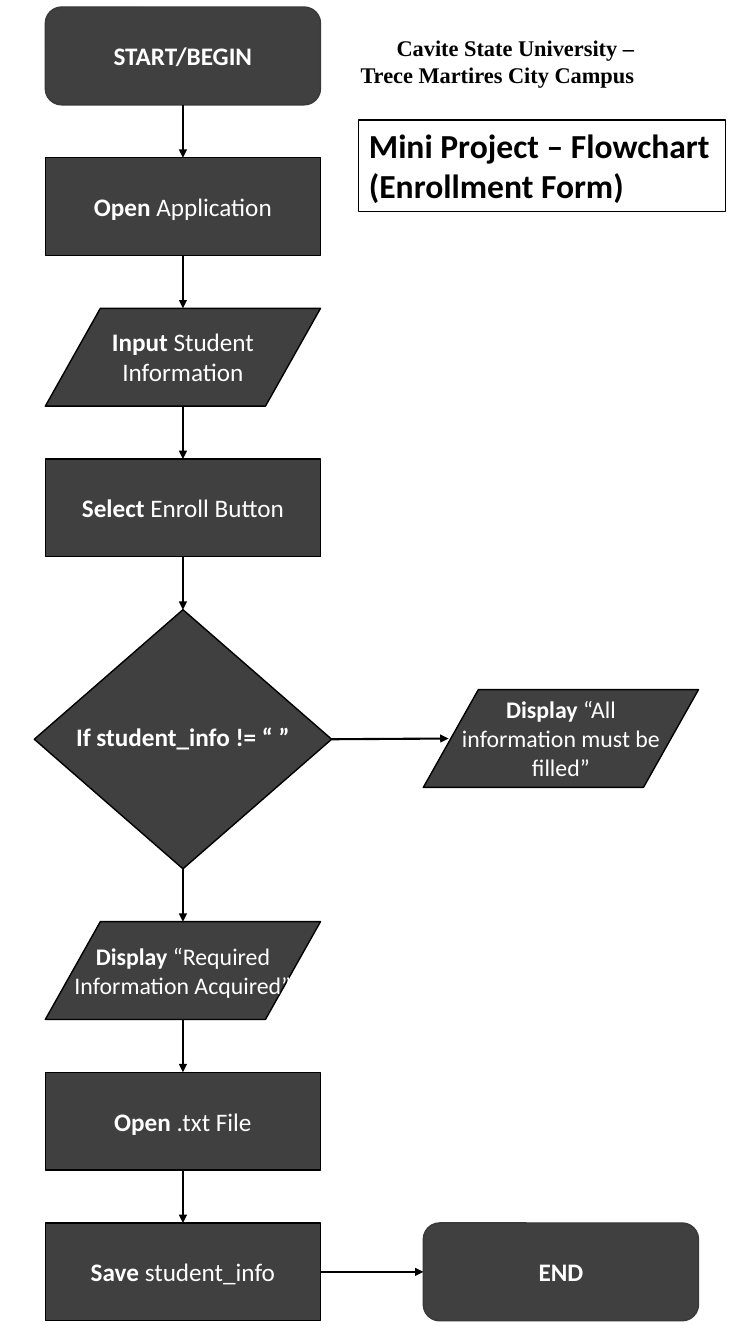
import pptx
import pptx.util
import pptx.dml.color
import pptx.enum.shapes
import pptx.enum.text
import pptx.oxml.ns
from dataclasses import dataclass
from lxml import etree

Inches, Pt = pptx.util.Inches, pptx.util.Pt
SHAPE = pptx.enum.shapes.MSO_SHAPE
ALIGN = pptx.enum.text.PP_ALIGN
ANCHOR = pptx.enum.text.MSO_ANCHOR
qn = pptx.oxml.ns.qn


@dataclass(frozen=True)
class Theme:
    node: str = "404040"
    terminal_line: str = "3B3838"
    light: str = "FFFFFF"
    dark: str = "000000"
    body: str = "Calibri"
    serif: str = "Times New Roman"
    title_size: float = 24
    school_size: float = 16
    label_size: float = 18
    small_size: float = 17
    thin: float = 0.75
    outline: float = 1
    arrow: float = 1.5


def rgb(value):
    return pptx.dml.color.RGBColor.from_string(value)


def apply(target, values):
    for name, value in values.items():
        setattr(target, name, value)


class Flowchart:
    def __init__(self, slide, theme):
        self.s, self.theme = slide, theme

    def line(self, line, color, width):
        line.color.rgb = rgb(color)
        line.width = Pt(width)

    def set_runs(self, sp, runs, size, color, font, align):
        """Fill a text frame with (text, bold) runs."""
        tf = sp.text_frame
        apply(tf, {"word_wrap": True, "vertical_anchor": ANCHOR.TOP,
                   "auto_size": pptx.enum.text.MSO_AUTO_SIZE.NONE,
                   "margin_left": Inches(0.1), "margin_right": Inches(0.1),
                   "margin_top": Inches(0.05), "margin_bottom": Inches(0.05)})
        p = tf.paragraphs[0]
        apply(p, {"alignment": align, "line_spacing": 1.0})
        for text, bold in runs:
            r = p.add_run()
            r.text = text
            apply(r.font, {"name": font, "size": Pt(size), "bold": bold})
            r.font.color.rgb = rgb(color)

    def title(self, text, left, top, width, height):
        sp = self.s.shapes.title
        apply(sp, {"left": Inches(left), "top": Inches(top),
                   "width": Inches(width), "height": Inches(height)})
        self.line(sp.line, self.theme.dark, self.theme.thin)
        self.set_runs(sp, [(text, True)], self.theme.title_size,
                      self.theme.dark, self.theme.body, ALIGN.LEFT)

    def text(self, runs, box, size, color, font, align):
        sp = self.s.shapes.add_textbox(*map(Inches, box))
        self.set_runs(sp, runs, size, color, font, align)

    def node(self, kind, left, top, width, height):
        sp = self.s.shapes.add_shape(kind, *map(Inches, (left, top, width, height)))
        sp.shadow.inherit = False
        sp.fill.solid()
        sp.fill.fore_color.rgb = rgb(self.theme.node)
        terminal = kind == SHAPE.ROUNDED_RECTANGLE
        self.line(sp.line, self.theme.terminal_line if terminal else self.theme.dark,
                  self.theme.outline)
        return sp

    def label(self, sp, runs, width, height, size):
        """Centre a label on a node."""
        left = (sp.left + sp.width / 2) / Inches(1) - width / 2
        top = (sp.top + sp.height / 2) / Inches(1) - height / 2
        self.text(runs, (left, top, width, height), size,
                  self.theme.light, self.theme.body, ALIGN.CENTER)

    def arrow(self, start, end, sites, inset=0):
        """Join two nodes; slanted shapes have no usable middle sites."""
        def point(sp, site):
            x = {1: 0, 3: 1}.get(site, 0.5)
            y = {0: 0, 2: 1}.get(site, 0.5)
            return int(sp.left + x * sp.width), int(sp.top + y * sp.height)

        x1, y1 = point(start, sites[0])
        x2, y2 = point(end, sites[1])
        c = self.s.shapes.add_connector(pptx.enum.shapes.MSO_CONNECTOR.STRAIGHT,
                                        x1, y1, x2 + Inches(inset), y2)
        for sp, site, join in ((start, sites[0], c.begin_connect),
                               (end, sites[1], c.end_connect)):
            if sp.auto_shape_type != SHAPE.FLOWCHART_DATA:
                join(sp, site)
        self.line(c.line, self.theme.dark, self.theme.arrow)
        etree.SubElement(c.line._get_or_add_ln(), qn("a:tailEnd"), type="triangle")
        etree.SubElement(c._element.spPr, qn("a:effectLst"))


def main():
    theme = Theme()
    prs = pptx.Presentation()
    apply(prs, {"slide_width": Inches(7.5), "slide_height": Inches(13.33)})
    chart = Flowchart(prs.slides.add_slide(prs.slide_layouts[5]), theme)

    # Headings
    chart.title("Mini Project – Flowchart (Enrollment Form)", 3.56, 1.19, 3.64, 0.91)
    chart.text([("Cavite State University – Trece Martires City Campus", True)],
               (3.44, 0.29, 2.95, 0.64), theme.school_size, theme.dark,
               theme.serif, ALIGN.RIGHT)

    # Steps: shape, bold words, plain words, label height, label size
    terminal, process = SHAPE.ROUNDED_RECTANGLE, SHAPE.RECTANGLE
    data, decision = SHAPE.FLOWCHART_DATA, SHAPE.FLOWCHART_DECISION
    big, small = theme.label_size, theme.small_size
    steps = [
        (terminal, "START/BEGIN", "", 0.4, big),
        (process, "Open", " Application", 0.4, big),
        (data, "Input", " Student Information", 0.71, big),
        (process, "Select", " Enroll Button", 0.4, big),
        (decision, "If student_info != “ ”", "", 0.45, big),
        (data, "Display", " “Required Information Acquired”", 0.67, small),
        (process, "Open", " .txt File", 0.4, big),
        (process, "Save ", "student_info", 0.4, big),
    ]
    left, side_left, width, height = 0.45, 4.2, 2.73, 0.97
    wide, tall = 2.95, 2.57
    first, last = 0.07, 12.13
    gaps = len(steps) - 1
    gap = (last - first - (gaps - 1) * height - tall) / gaps

    # Main column, evenly spaced
    def labelled(sp, bold, plain, label_width, label_height, size):
        runs = [(text, strong) for text, strong in ((bold, True), (plain, False)) if text]
        chart.label(sp, runs, label_width, label_height, size)

    nodes, top = [], first
    for kind, bold, plain, label_height, size in steps:
        w, h = (wide, tall) if kind == decision else (width, height)
        sp = chart.node(kind, left + (width - w) / 2, top, w, h)
        labelled(sp, bold, plain, 2.62 if size == small else width, label_height, size)
        nodes.append(sp)
        top += h + gap

    # Side branches
    check, save = nodes[4], nodes[-1]
    warning = chart.node(data, side_left, 6.84, width, height)
    labelled(warning, "Display", " “All information must be filled”", 2.23, 0.96, small)
    end = chart.node(terminal, side_left, last, width, height)
    labelled(end, "END", "", width, 0.4, big)

    # Arrows
    for start, stop in zip(nodes, nodes[1:]):
        chart.arrow(start, stop, (2, 0))
    chart.arrow(check, warning, (3, 1), inset=0.25)
    chart.arrow(save, end, (3, 1))

    prs.save("out.pptx")


if __name__ == "__main__":
    main()
